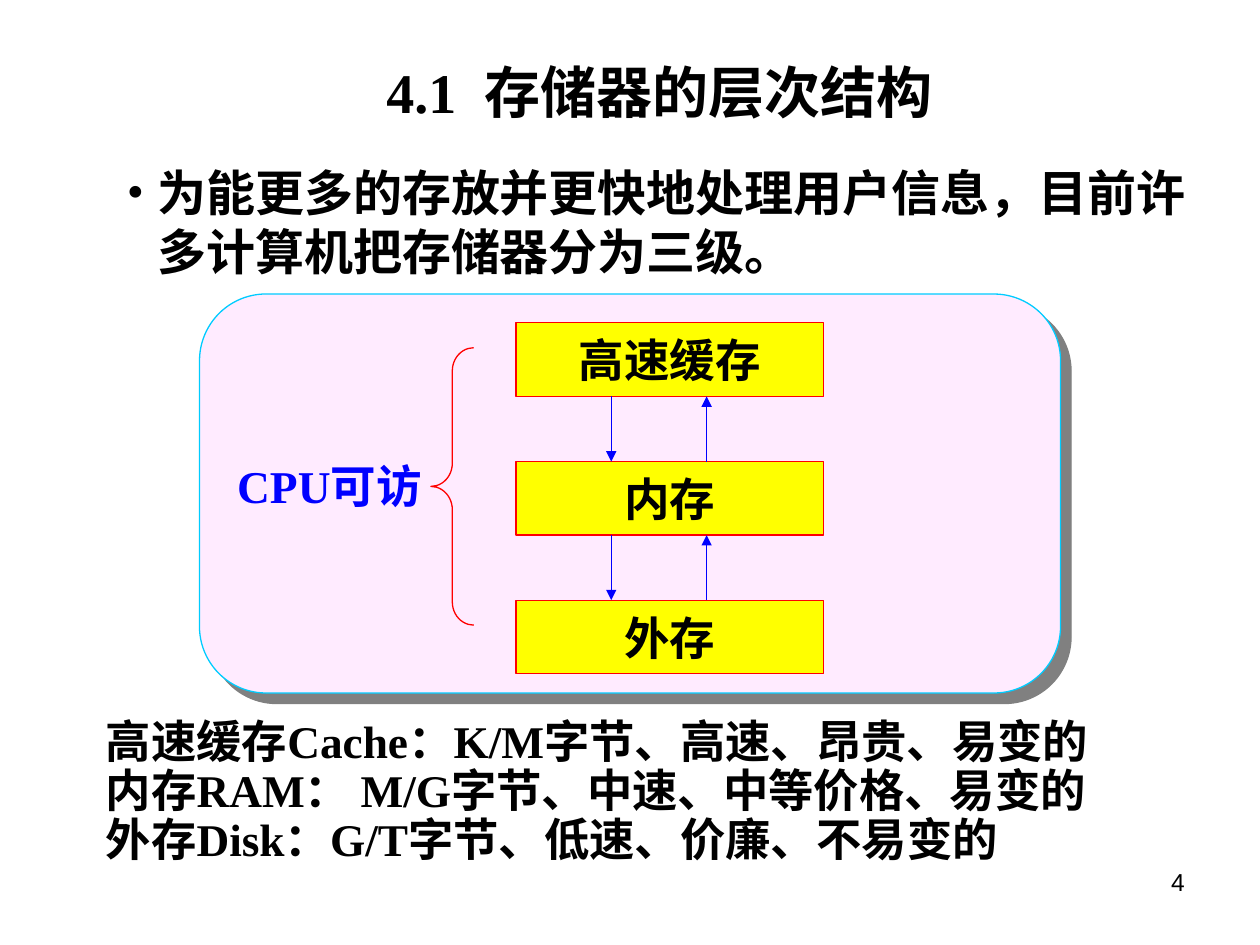
from lxml import etree
from pptx import Presentation
from pptx.dml.color import RGBColor
from pptx.enum.shapes import MSO_CONNECTOR, MSO_SHAPE
from pptx.enum.text import MSO_ANCHOR, PP_ALIGN
from pptx.oxml.ns import qn
from pptx.util import Pt

LEFT, CENTER, RIGHT = PP_ALIGN.LEFT, PP_ALIGN.CENTER, PP_ALIGN.RIGHT
TOP, MIDDLE = MSO_ANCHOR.TOP, MSO_ANCHOR.MIDDLE
STRAIGHT = MSO_CONNECTOR.STRAIGHT
SERIF = "Times New Roman"
COLORS = {"text": "000000", "panel": "FFEBFF", "panel_line": "00CCFF", "shadow": "808080",
          "box": "FFFF00", "red": "FF0000", "blue": "0000FF"}


def rgb(name):
    return RGBColor.from_string(COLORS[name])


def write(sp, lines, size, align=LEFT, anchor=TOP, color="text", font=SERIF,
          bold=True, wrap=True, inset=(6.5, 3)):
    """Fill a shape with one formatted paragraph per line."""
    tf = sp.text_frame
    tf.text = "\n".join(lines)
    tf.word_wrap = wrap
    tf.vertical_anchor = anchor
    tf.margin_left = tf.margin_right = Pt(inset[0])
    tf.margin_top = tf.margin_bottom = Pt(inset[1])
    for p in tf.paragraphs:
        p.alignment = align
        for r in p.runs:
            r.font.size, r.font.bold, r.font.name = Pt(size), bold, font
            r.font.color.rgb = rgb(color)
    return tf


prs = Presentation()
prs.slide_width, prs.slide_height = Pt(720), Pt(540)
s = prs.slides.add_slide(prs.slide_layouts[6])

# Slide number
sp = s.shapes.add_textbox(Pt(516), Pt(492), Pt(168), Pt(37.5))
write(sp, ["4"], 14, RIGHT, font="Arial", bold=False, inset=(7.2, 3.6))

# Panel with a hard offset shadow
sp = s.shapes.add_shape(MSO_SHAPE.ROUNDED_RECTANGLE, Pt(114), Pt(168), Pt(492), Pt(228))
sp.fill.solid()
sp.fill.fore_color.rgb = rgb("panel")
sp.line.color.rgb = rgb("panel_line")
sp.line.width = Pt(0.75)
sp.shadow.inherit = False
effects = sp._element.spPr.find(qn("a:effectLst"))
shadow = etree.SubElement(effects, qn("a:outerShdw"), blurRad="0", dist=str(Pt(8.5)),
                          dir="2700000", algn="ctr", rotWithShape="0")
etree.SubElement(shadow, qn("a:srgbClr"), val=COLORS["shadow"])

# Three memory levels
BOX_LEFT, BOX_TOP, BOX_W, BOX_H, PITCH = 294.8, 184.5, 175.8, 42, 79.25
LEVELS = ["高速缓存", "内存", "外存"]
for i, level in enumerate(LEVELS):
    sp = s.shapes.add_shape(MSO_SHAPE.RECTANGLE, Pt(BOX_LEFT), Pt(BOX_TOP + i * PITCH),
                            Pt(BOX_W), Pt(BOX_H))
    sp.fill.solid()
    sp.fill.fore_color.rgb = rgb("box")
    sp.line.color.rgb = rgb("red")
    sp.line.width = Pt(0.75)
    sp.shadow.inherit = False
    write(sp, [level], 26, CENTER, MIDDLE, wrap=False, inset=(4.5, 2.2))

# Brace and its label
sp = s.shapes.add_shape(MSO_SHAPE.LEFT_BRACE, Pt(246.25), Pt(198.75), Pt(24.5), Pt(158.5))
sp.adjustments[0] = 0.54
sp.fill.background()
sp.line.color.rgb = rgb("red")
sp.line.width = Pt(0.75)
sp.shadow.inherit = False
sp = s.shapes.add_textbox(Pt(131), Pt(261.5), Pt(126), Pt(32))
write(sp, ["CPU可访"], 26, anchor=MIDDLE, color="blue", inset=(4.5, 2.2))

# Arrows down and up between neighbouring levels
for i in range(len(LEVELS) - 1):
    upper = BOX_TOP + BOX_H + i * PITCH
    lower = BOX_TOP + (i + 1) * PITCH
    for x, start, end in ((349.3, upper, lower), (403.8, lower, upper)):
        arrow = s.shapes.add_connector(STRAIGHT, Pt(x), Pt(start), Pt(x), Pt(end))
        arrow.line.color.rgb = rgb("blue")
        arrow.line.width = Pt(0.75)
        etree.SubElement(arrow.line._get_or_add_ln(), qn("a:tailEnd"), type="triangle")
        etree.SubElement(arrow._element.spPr, qn("a:effectLst"))

# Properties of each level
sp = s.shapes.add_textbox(Pt(54), Pt(408), Pt(640), Pt(114))
tf = write(sp, ["高速缓存Cache：K/M字节、高速、昂贵、易变的",
                "内存RAM： M/G字节、中速、中等价格、易变的",
                "外存Disk：G/T字节、低速、价廉、不易变的"], 25.9)
for p in tf.paragraphs:
    p.line_spacing = 0.9
    pPr = p._p.get_or_add_pPr()
    pPr.set("marL", str(Pt(23)))
    pPr.set("indent", str(Pt(-23)))

# Introduction
sp = s.shapes.add_textbox(Pt(66), Pt(90), Pt(622), Pt(73.5))
tf = write(sp, ["为能更多的存放并更快地处理用户信息，目前许多计算机把存储器分为三级。"], 28)
pPr = tf.paragraphs[0]._p.get_or_add_pPr()
pPr.set("marL", str(Pt(17.5)))
pPr.set("indent", str(Pt(-17.5)))
etree.SubElement(pPr, qn("a:buFont"), typeface=SERIF)
etree.SubElement(pPr, qn("a:buChar"), char="•")

# Title
sp = s.shapes.add_textbox(Pt(120), Pt(30), Pt(514), Pt(44.5))
tf = write(sp, ["4.1  存储器的层次结构"], 32, CENTER)
tf.paragraphs[0].space_before = Pt(8)

prs.save("out.pptx")
